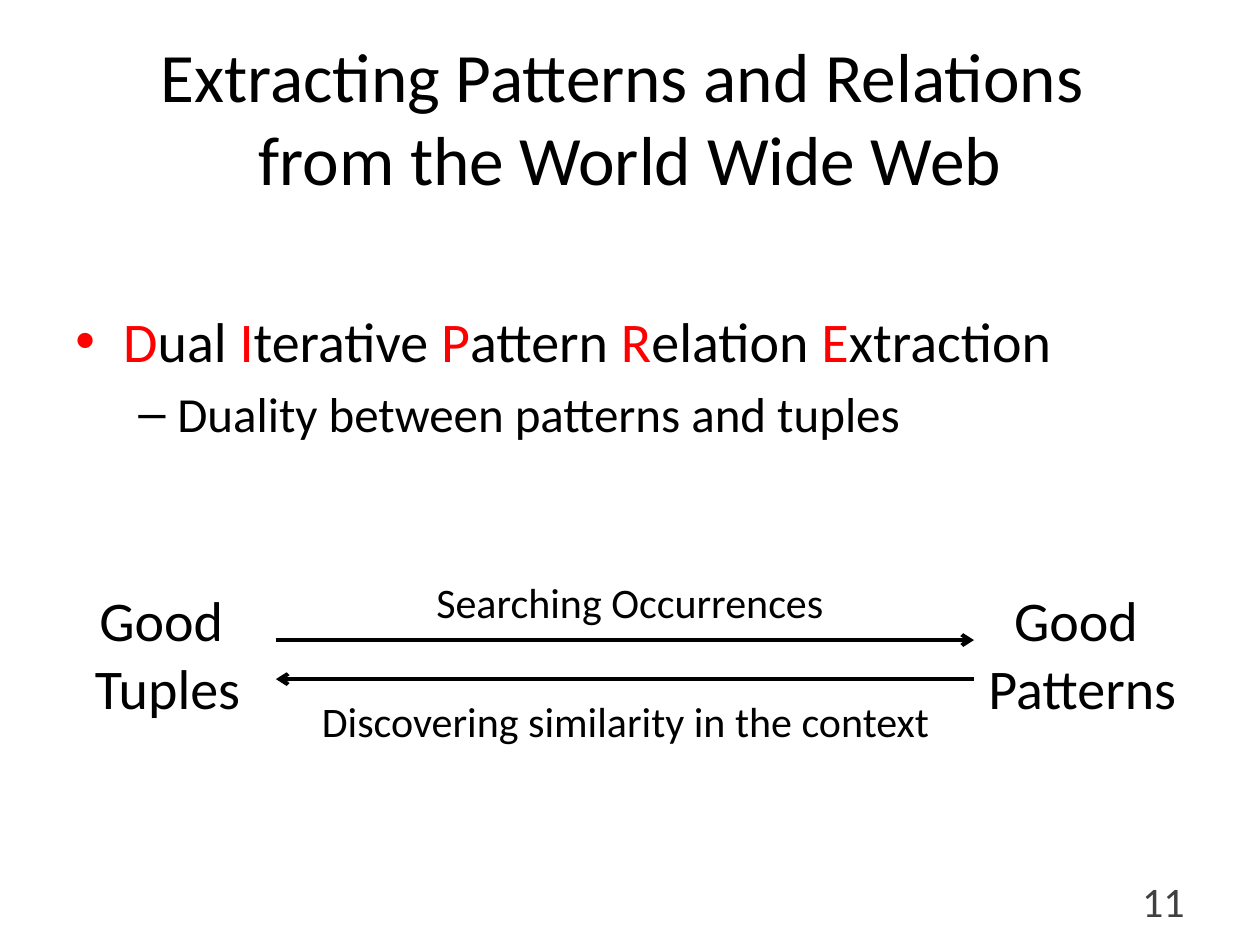
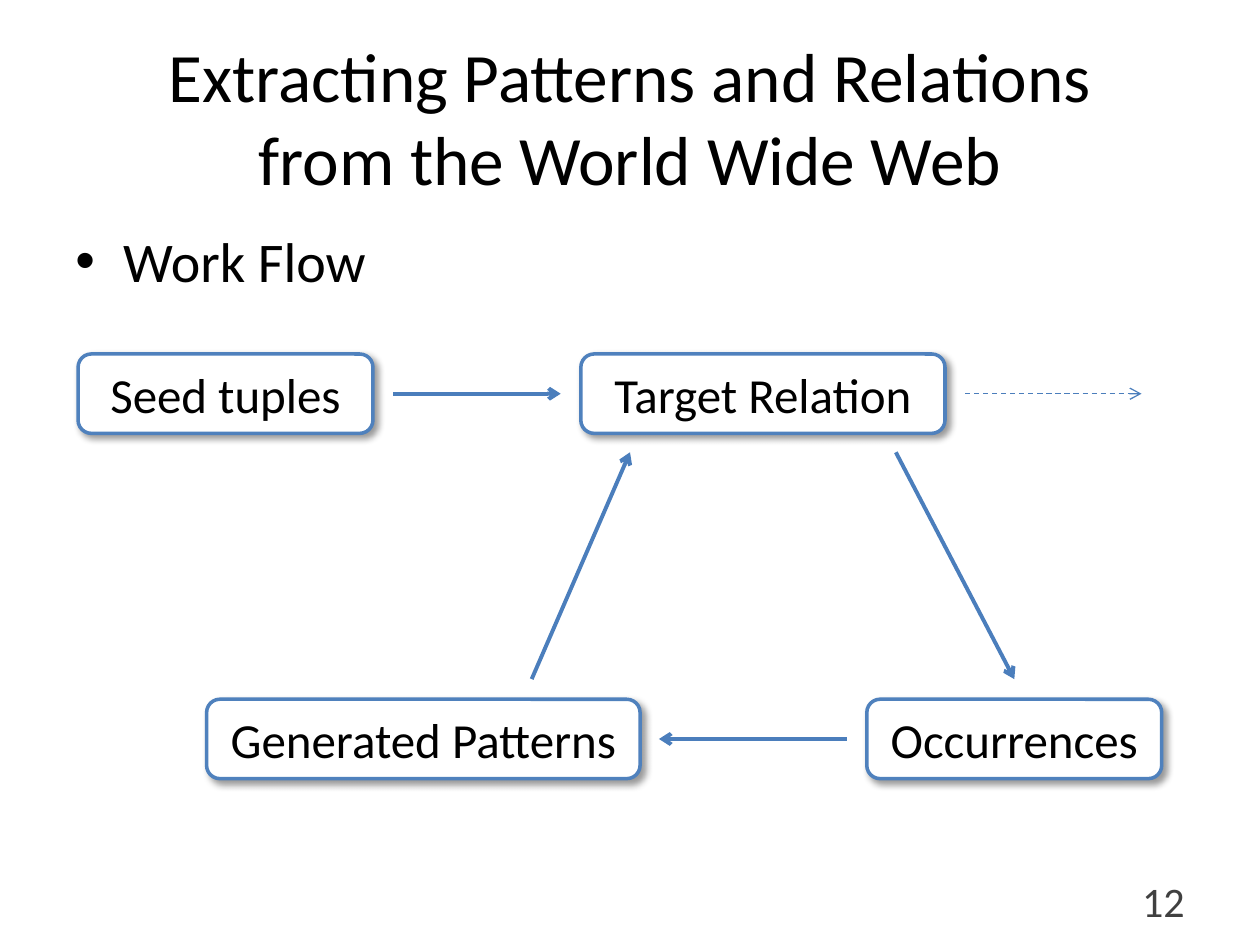
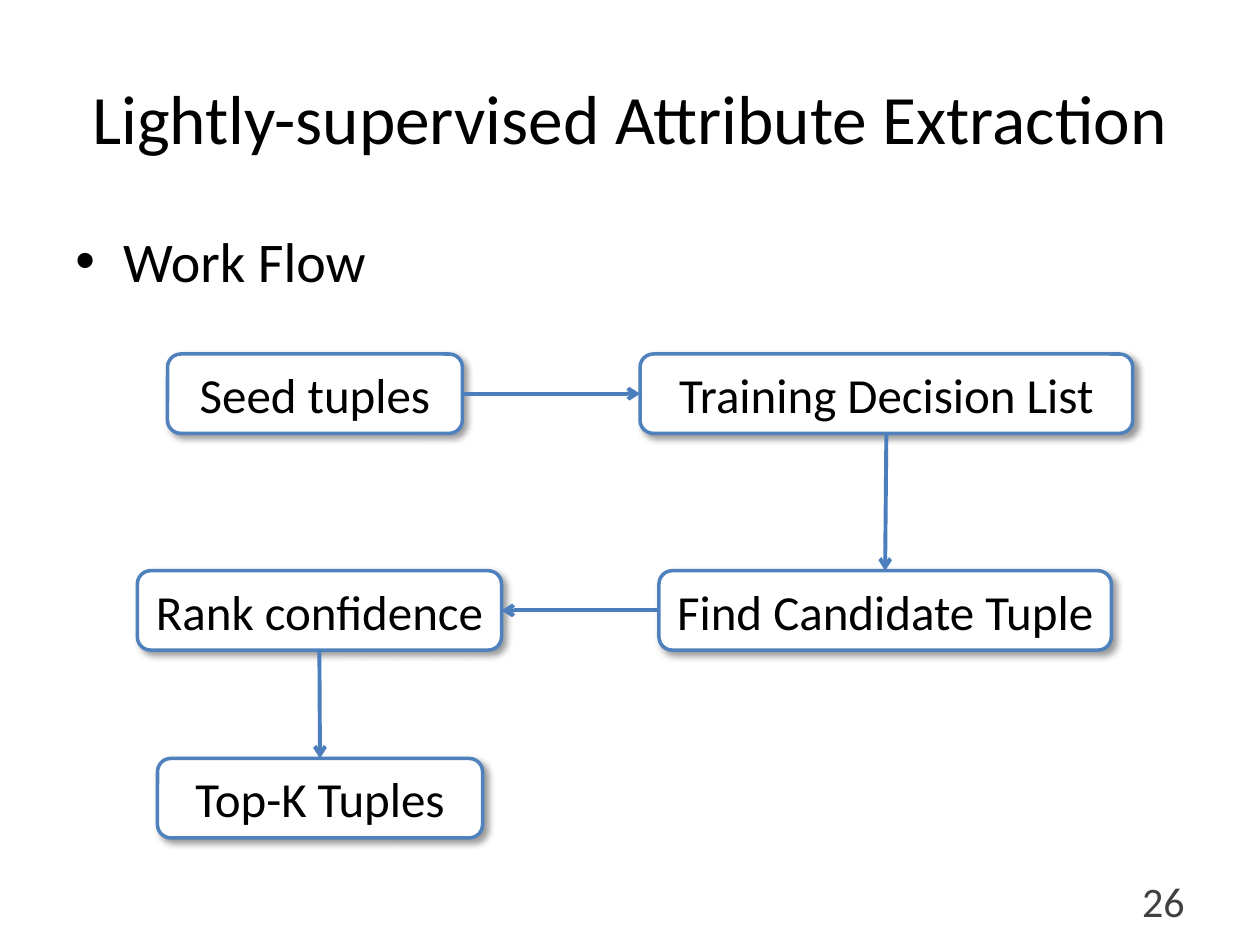
"""Build three slides on pattern, relation and attribute extraction."""
from copy import deepcopy
from typing import NamedTuple, Optional

from lxml import etree
from pptx import Presentation
from pptx import util as u
from pptx.dml.color import RGBColor
from pptx.enum import dml, shapes, text
from pptx.oxml.ns import qn

FONT = "Calibri"
BLACK, WHITE, RED, GREY = "000000", "FFFFFF", "FF0000", "404040"
BOX_LINE, ARROW_BLUE = "4F81BD", "4B7EBC"
BOX_HEIGHT = 0.63
TOP_ROW = 2.81
CENTER, RIGHT = text.PP_ALIGN.CENTER, text.PP_ALIGN.RIGHT
TOP_SIDE, LEFT_SIDE, BOTTOM_SIDE, RIGHT_SIDE = range(4)


class Box(NamedTuple):
    label: str
    left: float
    top: float
    width: float


class Arrow(NamedTuple):
    x1: float
    y1: float
    x2: float
    y2: float
    color: str = ARROW_BLUE
    width: float = 2.25
    dashed: bool = False


class Label(NamedTuple):
    lines: str
    left: float
    top: float
    width: float
    height: float
    size: float


class Link(NamedTuple):
    start: str
    start_side: int
    end: str
    end_side: int


class Bullet(NamedTuple):
    runs: list[tuple[str, str]]
    mark: str = "•"
    size: float = 32
    margin: float = 0.38
    hang: float = 0.38


def rgb(color: str) -> RGBColor:
    return RGBColor.from_string(color)


def style(r, size: float, color: str = BLACK) -> None:
    r.font.name, r.font.size = FONT, u.Pt(size)
    r.font.color.rgb = rgb(color)


def style_frame(tf, size: float, color: str = BLACK, align=CENTER) -> None:
    for p in tf.paragraphs:
        p.alignment = align
        for r in p.runs:
            style(r, size, color)


def add_text(s, at: tuple[float, float, float, float]):
    sp = s.shapes.add_textbox(*map(u.Inches, at))
    sp.text_frame.word_wrap = True
    return sp.text_frame


def new_slide(prs, title: str, number: int):
    s = prs.slides.add_slide(prs.slide_layouts[5])
    sp = s.shapes.title
    sp.left, sp.top, sp.width, sp.height = map(u.Inches, (0.5, 0.3, 9, 1.25))
    tf = sp.text_frame
    tf.text = title
    tf.vertical_anchor = text.MSO_ANCHOR.MIDDLE
    style_frame(tf, 39.6)
    p = tf.paragraphs[0]
    for br in p._p.findall(qn("a:br")):
        br.append(deepcopy(p.runs[0]._r.rPr))
    tf = add_text(s, (7.17, 6.95, 2.33, 0.4))
    tf.text = str(number)
    tf.vertical_anchor = text.MSO_ANCHOR.MIDDLE
    style_frame(tf, 24, GREY, RIGHT)
    return s


def add_bullets(s, bullets: list[Bullet], top: float = 1.75, height: float = 0.83) -> None:
    tf = add_text(s, (0.5, top, 9, height))
    for i, bullet in enumerate(bullets):
        p = tf.add_paragraph() if i else tf.paragraphs[0]
        pPr = p._p.get_or_add_pPr()
        pPr.set("marL", str(u.Inches(bullet.margin)))
        pPr.set("indent", str(-u.Inches(bullet.hang)))
        clr = etree.SubElement(pPr, qn("a:buClr"))
        etree.SubElement(clr, qn("a:srgbClr"), val=bullet.runs[0][1])
        etree.SubElement(pPr, qn("a:buFont"), typeface="Arial")
        etree.SubElement(pPr, qn("a:buChar"), char=bullet.mark)
        if i:
            p.space_before = u.Pt(bullet.size * 0.2)
        for words, color in bullet.runs:
            r = p.add_run()
            r.text = words
            style(r, bullet.size, color)


def add_label(s, label: Label) -> None:
    tf = add_text(s, (label.left, label.top, label.width, label.height))
    tf.text = label.lines
    tf.auto_size = text.MSO_AUTO_SIZE.SHAPE_TO_FIT_TEXT
    style_frame(tf, label.size)


def add_box(s, box: Box):
    at = map(u.Inches, (box.left, box.top, box.width, BOX_HEIGHT))
    sp = s.shapes.add_shape(shapes.MSO_SHAPE.ROUNDED_RECTANGLE, *at)
    sp.fill.solid()
    sp.fill.fore_color.rgb = rgb(WHITE)
    sp.line.color.rgb = rgb(BOX_LINE)
    sp.line.width = u.Pt(2)
    sp.shadow.inherit = False
    effects = sp._element.spPr.find(qn("a:effectLst"))
    shadow = etree.SubElement(
        effects, qn("a:outerShdw"), blurRad=str(u.Pt(4)), dist=str(u.Pt(3)),
        dir=str(45 * 60000), algn="tl", rotWithShape="0")
    clr = etree.SubElement(shadow, qn("a:srgbClr"), val=BLACK)
    etree.SubElement(clr, qn("a:alpha"), val="40000")
    tf = sp.text_frame
    tf.text = box.label
    tf.word_wrap = False
    tf.vertical_anchor = text.MSO_ANCHOR.MIDDLE
    style_frame(tf, 28)
    return sp


def add_arrow(s, arrow: Arrow):
    ends = map(u.Inches, arrow[:4])
    cxn = s.shapes.add_connector(shapes.MSO_CONNECTOR.STRAIGHT, *ends)
    cxn.line.color.rgb = rgb(arrow.color)
    cxn.line.width = u.Pt(arrow.width)
    if arrow.dashed:
        cxn.line.dash_style = dml.MSO_LINE.DASH
    etree.SubElement(cxn.line._get_or_add_ln(), qn("a:tailEnd"), type="arrow")
    etree.SubElement(cxn._element.spPr, qn("a:effectLst"))
    return cxn


def add_flow(s, boxes: list[Box], arrows: Optional[list[Arrow]] = None,
             links: Optional[list[Link]] = None) -> None:
    placed = {box.label: add_box(s, box) for box in boxes}
    for arrow in arrows or []:
        add_arrow(s, arrow)
    for link in links or []:
        cxn = add_arrow(s, Arrow(0, 0, 1, 1))
        cxn.begin_connect(placed[link.start], link.start_side)
        cxn.end_connect(placed[link.end], link.end_side)


def duality_slide(prs) -> None:
    s = new_slide(prs, "Extracting Patterns and Relations \vfrom the World Wide Web", 11)
    name = []
    for word in ("Dual ", "Iterative ", "Pattern ", "Relation ", "Extraction"):
        name += [(word[0], RED), (word[1:], BLACK)]
    add_bullets(s, [
        Bullet(name),
        Bullet([("Duality between patterns and tuples", BLACK)], "–", 28, 0.81, 0.31),
    ], 2.38, 4.32)
    for label in (
        Label("Good \nTuples", 0.47, 4.6, 1.72, 1.18, 32),
        Label("Good \nPatterns", 7.73, 4.6, 1.72, 1.18, 32),
        Label("Searching Occurrences", 2.97, 4.53, 4.06, 0.5, 24),
        Label("Discovering similarity in the context", 2.27, 5.47, 5.39, 0.5, 24),
    ):
        add_label(s, label)
    add_arrow(s, Arrow(2.19, 5.08, 7.73, 5.08, BLACK))
    add_arrow(s, Arrow(7.73, 5.39, 2.19, 5.39, BLACK))


def pattern_flow_slide(prs) -> None:
    s = new_slide(prs, "Extracting Patterns and Relations\vfrom the World Wide Web", 12)
    add_bullets(s, [Bullet([("Work Flow", BLACK)])])
    low_row = 5.55
    top_mid, low_mid = TOP_ROW + BOX_HEIGHT / 2, low_row + BOX_HEIGHT / 2
    above, below = 3.59, 5.39
    add_flow(s, [
        Box("Seed tuples", 0.62, TOP_ROW, 2.34),
        Box("Target Relation", 4.61, TOP_ROW, 2.89),
        Box("Occurrences", 6.88, low_row, 2.34),
        Box("Generated Patterns", 1.64, low_row, 3.44),
    ], arrows=[
        Arrow(3.12, top_mid, 4.45, top_mid),
        Arrow(7.11, above, 8.05, below),
        Arrow(6.72, low_mid, 5.23, low_mid),
        Arrow(4.22, below, 5, above),
        Arrow(7.66, top_mid, 9.06, top_mid, width=0.75, dashed=True),
    ])


def attribute_flow_slide(prs) -> None:
    s = new_slide(prs, "Lightly-supervised Attribute Extraction", 26)
    add_bullets(s, [Bullet([("Work Flow", BLACK)])], height=4.95)
    seed, train, find, rank, top = (
        "Seed tuples", "Training Decision List", "Find Candidate Tuple",
        "Rank confidence", "Top-K Tuples")
    add_flow(s, [
        Box(seed, 1.33, TOP_ROW, 2.34),
        Box(rank, 1.09, 4.53, 2.89),
        Box(train, 5.08, TOP_ROW, 3.91),
        Box(find, 5.23, 4.53, 3.59),
        Box(top, 1.25, 6.02, 2.58),
    ], links=[
        Link(seed, RIGHT_SIDE, train, LEFT_SIDE),
        Link(train, BOTTOM_SIDE, find, TOP_SIDE),
        Link(find, LEFT_SIDE, rank, RIGHT_SIDE),
        Link(rank, BOTTOM_SIDE, top, TOP_SIDE),
    ])


def main() -> None:
    prs = Presentation()
    prs.slide_width, prs.slide_height = u.Inches(10), u.Inches(7.5)
    duality_slide(prs)
    pattern_flow_slide(prs)
    attribute_flow_slide(prs)
    prs.save("out.pptx")


if __name__ == "__main__":
    main()
